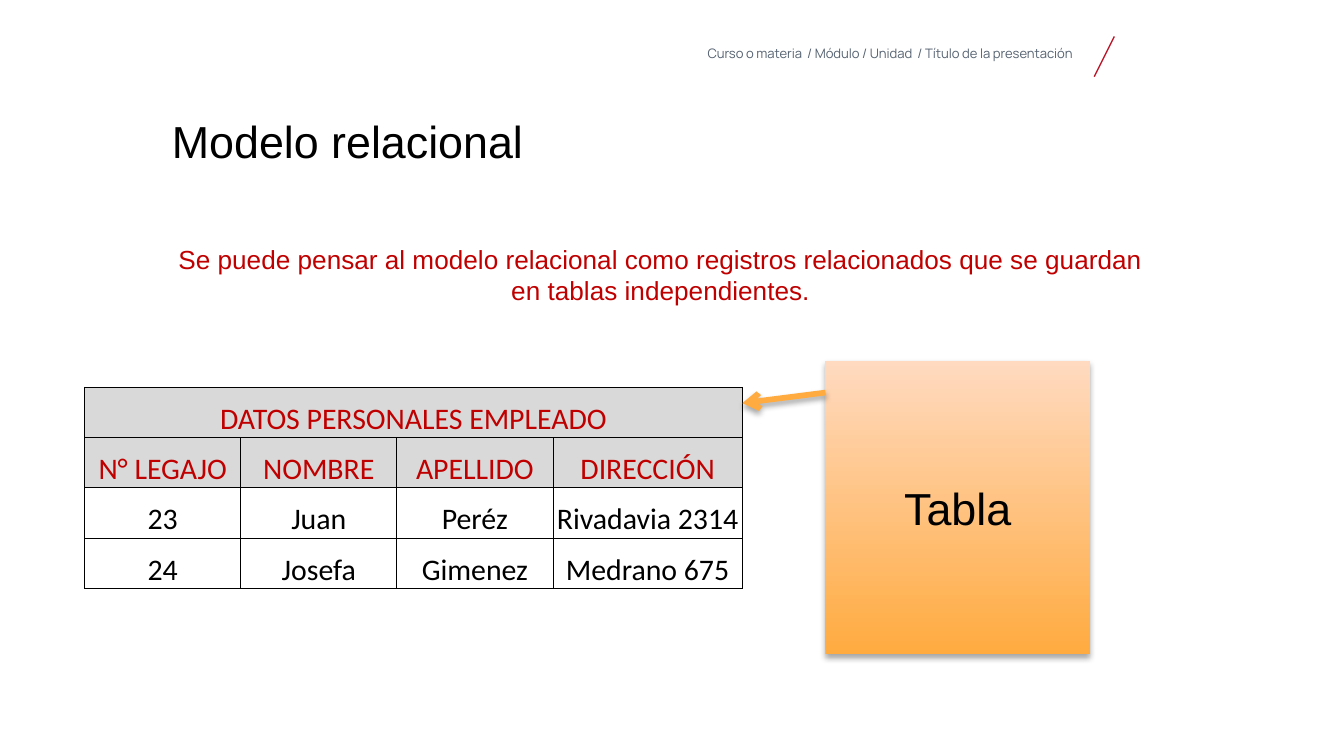
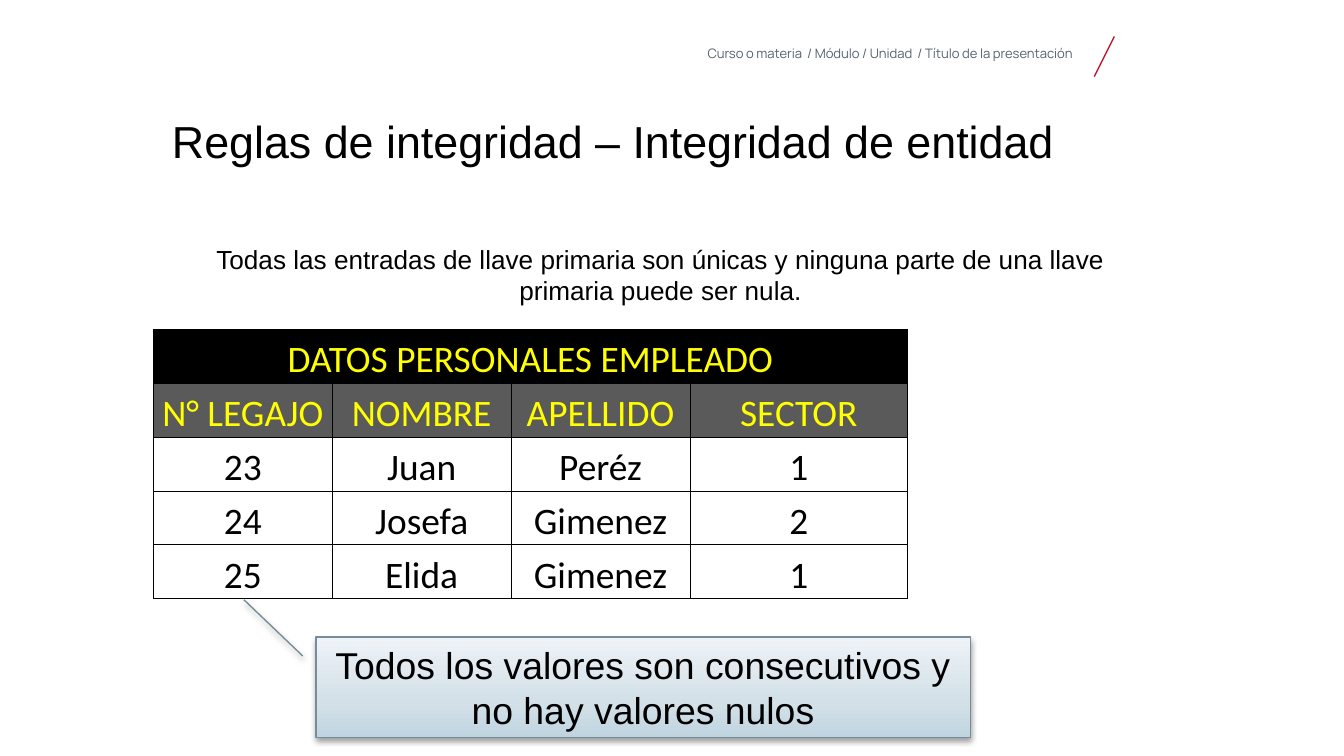
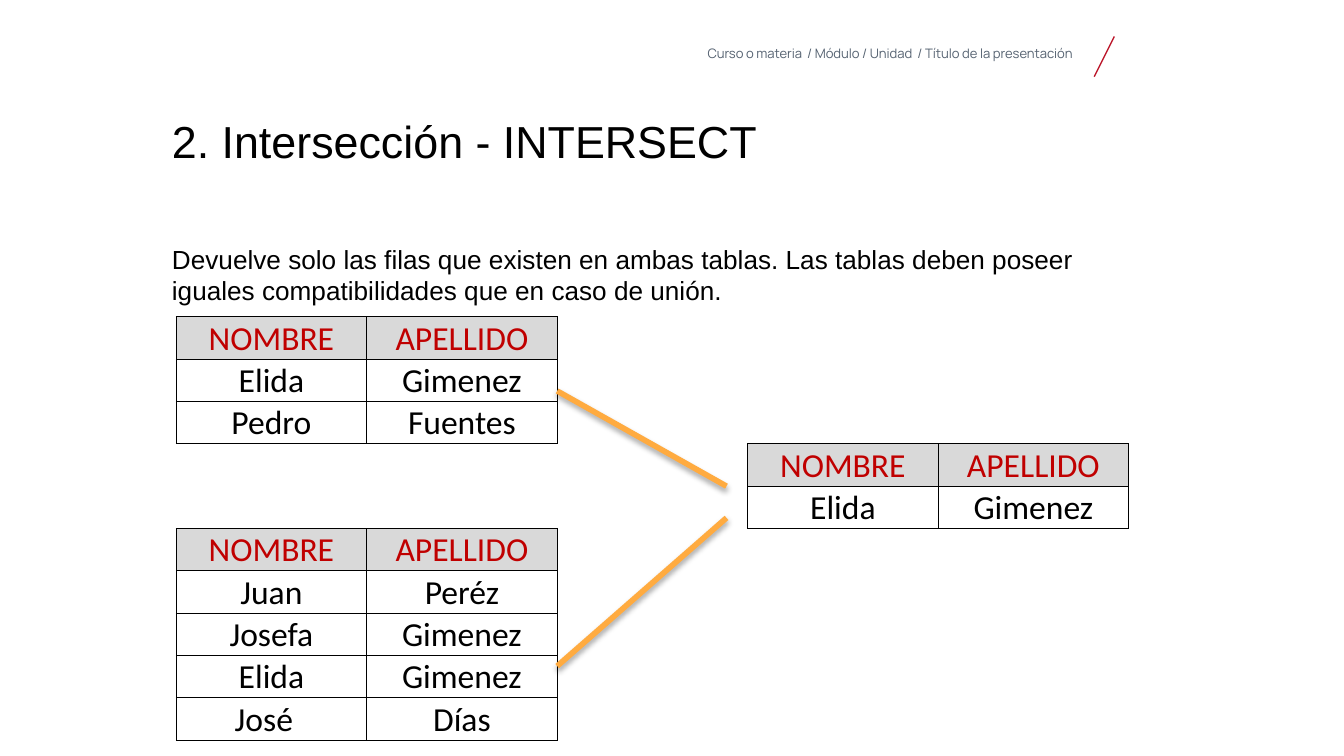
from collections import namedtuple

from lxml.etree import SubElement
from pptx import Presentation
from pptx.dml.color import RGBColor
from pptx.enum.shapes import MSO_CONNECTOR, MSO_SHAPE
from pptx.enum.text import MSO_ANCHOR, PP_ALIGN
from pptx.oxml import parse_xml
from pptx.oxml.ns import nsdecls, qn
from pptx.util import Cm, Pt

BLACK = RGBColor(0x00, 0x00, 0x00)
WHITE = RGBColor(0xFF, 0xFF, 0xFF)
SLATE = RGBColor(0x55, 0x62, 0x71)
CRIMSON = RGBColor(0xBC, 0x18, 0x2C)
RED = RGBColor(0xC0, 0x00, 0x00)
YELLOW = RGBColor(0xFF, 0xFF, 0x00)
LIGHT_GRAY = RGBColor(0xD9, 0xD9, 0xD9)
DARK_GRAY = RGBColor(0x5A, 0x5A, 0x5A)
ORANGE = RGBColor(0xFF, 0xAB, 0x40)
PEACH = RGBColor(0xFF, 0xDA, 0xC0)
STEEL = RGBColor(0x74, 0x8D, 0x99)
BLUE = RGBColor(0xC0, 0xD4, 0xE0)
PALE_BLUE = RGBColor(0xD3, 0xE0, 0xE8)
ICE_BLUE = RGBColor(0xEE, 0xF3, 0xF7)

Box = namedtuple("Box", "left top width height")
TableStyle = namedtuple("TableStyle", "size header_color header_fills")

HEADER = Box(12.57, 0.89, 7.75, 0.36)
TITLE = Box(3.25, 2.26, 13.49, 2.11)
WIDE_TITLE = TITLE._replace(width=17.02)
BODY = Box(3.25, 4.6, 18.47, 9.02)

HEADER_FONT = {"name": "Manrope", "size": Pt(7), "color": SLATE}
TITLE_FONT = {"name": "Arial", "size": Pt(24), "color": BLACK}
BODY_FONT = {"name": "Arial", "size": Pt(14), "color": BLACK}
CALLOUT_FONT = {"name": "Arial", "size": Pt(20), "color": BLACK}

HEADER_TEXT = "Curso o materia  / Módulo / Unidad  / Título de la presentación "
NO_MARGINS = {f"margin_{side}": 0 for side in ("left", "top", "right", "bottom")}
CELL_FORMAT = {
    "margin_left": Cm(0.02),
    "margin_top": Cm(0.02),
    "margin_right": Cm(0.02),
    "margin_bottom": 0,
    "vertical_anchor": MSO_ANCHOR.BOTTOM,
}
BORDERS = {"a:lnL": (0, -1), "a:lnR": (0, 1), "a:lnT": (-1, 0), "a:lnB": (1, 0)}


def apply_format(target, values):
    for name, value in values.items():
        setattr(target, name, value)


def write_text(text_frame, text, font, alignment, **paragraph_format):
    paragraph = text_frame.paragraphs[0]
    apply_format(paragraph, {"alignment": alignment, **paragraph_format})
    run = paragraph.add_run()
    run.text = text
    apply_format(run.font, {"name": font["name"], "size": font["size"]})
    run.font.color.rgb = font["color"]


def add_text(slide, box, text, font, alignment=PP_ALIGN.LEFT, **paragraph_format):
    text_frame = slide.shapes.add_textbox(*map(Cm, box)).text_frame
    apply_format(text_frame, {"word_wrap": True, **NO_MARGINS})
    write_text(text_frame, text, font, alignment, **paragraph_format)


def add_shadow(shape, opacity, distance):
    properties = shape._element.spPr
    for effects in properties.findall(qn("a:effectLst")):
        properties.remove(effects)
    properties.append(parse_xml(
        f'<a:effectLst {nsdecls("a")}><a:outerShdw blurRad="40000" dist="{distance}" '
        f'dir="5400000" rotWithShape="0"><a:srgbClr val="000000">'
        f'<a:alpha val="{opacity * 1000}"/></a:srgbClr></a:outerShdw></a:effectLst>'
    ))


def add_line(slide, start, end, color, width, shadow=True, arrow=False):
    connector = slide.shapes.add_connector(MSO_CONNECTOR.STRAIGHT, *map(Cm, start + end))
    connector.line.color.rgb = color
    connector.line.width = Pt(width)
    if arrow:
        SubElement(connector.line._get_or_add_ln(), qn("a:tailEnd"), type="arrow")
    if shadow:
        add_shadow(connector, 35, 23000)
    else:
        SubElement(connector._element.spPr, qn("a:effectLst"))


def add_panel(slide, box, preset, text, font, stops, line_color=None):
    shape = slide.shapes.add_shape(preset, *map(Cm, box))
    shape.shadow.inherit = False
    shape.fill.gradient()
    shape.fill.gradient_angle = 90
    stop_list = shape._element.spPr.find(qn("a:gradFill")).find(qn("a:gsLst"))
    for stop in list(stop_list):
        stop_list.remove(stop)
    for position, color in stops:
        stop = SubElement(stop_list, qn("a:gs"), pos=str(position * 1000))
        SubElement(stop, qn("a:srgbClr"), val=str(color))
    if line_color:
        shape.line.color.rgb = line_color
        shape.line.width = Pt(0.75)
    else:
        shape.line.fill.background()
    apply_format(shape.text_frame, {"word_wrap": True, "vertical_anchor": MSO_ANCHOR.MIDDLE})
    write_text(shape.text_frame, text, font, PP_ALIGN.CENTER)
    return shape


def set_borders(cell, visible_sides):
    properties = cell._tc.get_or_add_tcPr()
    for index, side in enumerate(BORDERS):
        paint = '<a:solidFill><a:srgbClr val="000000"/></a:solidFill>'
        if side not in visible_sides:
            paint = "<a:noFill/>"
        properties.insert(index, parse_xml(f'<{side} {nsdecls("a")} w="6350">{paint}</{side}>'))


def add_data_table(slide, left, top, widths, row_height, rows, style, header_rows):
    columns = len(widths)
    grid = [row * columns if len(row) == 1 else row for row in rows]
    box = Box(left, top, sum(widths), row_height * len(rows))
    table = slide.shapes.add_table(len(rows), columns, *map(Cm, box)).table
    apply_format(table, {"first_row": False, "horz_banding": False})
    for column, width in zip(table.columns, widths):
        column.width = Cm(width)
    for row in table.rows:
        row.height = Cm(row_height)

    def has_text(row, column):
        return 0 <= row < len(grid) and 0 <= column < columns and bool(grid[row][column])

    for row, texts in enumerate(grid):
        merged = len(rows[row]) == 1
        if merged:
            table.cell(row, 0).merge(table.cell(row, columns - 1))
        for column, text in enumerate(texts):
            cell = table.cell(row, column)
            apply_format(cell, CELL_FORMAT)
            is_header = bool(text) and row in header_rows
            cell.fill.solid()
            cell.fill.fore_color.rgb = (
                style.header_fills[min(row, len(style.header_fills) - 1)] if is_header else WHITE
            )
            set_borders(cell, [
                side for side, (down, right) in BORDERS.items()
                if text or has_text(row + down, column + right)
            ])
            if text and not (merged and column):
                color = style.header_color if is_header else BLACK
                font = {"name": "Calibri", "size": Pt(style.size), "color": color}
                write_text(cell.text_frame, text, font, PP_ALIGN.CENTER)
    return box


def add_base_slide(presentation, title, body, title_box=TITLE,
                   body_color=BLACK, body_alignment=PP_ALIGN.CENTER):
    slide = presentation.slides.add_slide(presentation.slide_layouts[6])
    add_text(slide, HEADER, HEADER_TEXT, HEADER_FONT, PP_ALIGN.RIGHT, line_spacing=0.9)
    slash_left = HEADER.left + HEADER.width + 0.36
    add_line(slide, (slash_left + 0.38, 0.69), (slash_left, 1.45), CRIMSON, 0.75, shadow=False)
    add_text(slide, title_box, title, TITLE_FONT, line_spacing=0.9)
    add_text(slide, BODY, body, {**BODY_FONT, "color": body_color}, body_alignment)
    return slide


def build_relational_model(presentation):
    slide = add_base_slide(
        presentation, "Modelo relacional",
        "Se puede pensar al modelo relacional como registros relacionados que se guardan "
        "en tablas independientes.",
        body_color=RED,
    )
    rows = [
        ["DATOS PERSONALES EMPLEADO"],
        ["N° LEGAJO", "NOMBRE", "APELLIDO", "DIRECCIÓN"],
        ["23", "Juan", "Peréz", "Rivadavia 2314"],
        ["24", "Josefa", "Gimenez", "Medrano 675"],
    ]
    style = TableStyle(16, RED, [LIGHT_GRAY])
    table = add_data_table(slide, 1.6, 7.32, [2.95] * 3 + [3.58], 0.95, rows, style, (0, 1))
    label = Box(15.6, 6.83, 5, 5.54)
    panel = add_panel(slide, label, MSO_SHAPE.RECTANGLE, "Tabla", TITLE_FONT,
                      [(0, ORANGE), (100, PEACH)])
    add_shadow(panel, 35, 23000)
    add_line(slide, (label.left, label.top + 0.59),
             (table.left + table.width, table.top + 0.3), ORANGE, 3, arrow=True)


def build_entity_integrity(presentation):
    slide = add_base_slide(
        presentation, "Reglas de integridad – Integridad de entidad",
        "Todas las entradas de llave primaria son únicas y ninguna parte de una llave "
        "primaria puede ser nula.",
        title_box=WIDE_TITLE,
    )
    rows = [
        ["DATOS PERSONALES EMPLEADO"],
        ["N° LEGAJO", "NOMBRE", "APELLIDO", "SECTOR"],
        ["23", "Juan", "Peréz", "1"],
        ["24", "Josefa", "Gimenez", "2"],
        ["25", "Elida", "Gimenez", "1"],
    ]
    style = TableStyle(20, YELLOW, [BLACK, DARK_GRAY])
    add_data_table(slide, 2.9, 6.22, [3.38] * 3 + [4.11], 1.02, rows, style, (0, 1))
    callout = add_panel(
        slide, Box(5.97, 12.04, 12.37, 1.9), MSO_SHAPE.LINE_CALLOUT_1,
        "Todos los valores son consecutivos y no hay valores nulos", CALLOUT_FONT,
        [(0, BLUE), (35, PALE_BLUE), (100, ICE_BLUE)], STEEL,
    )
    for index, value in enumerate((0.19, -0.02, -0.37, -0.11)):
        callout.adjustments[index] = value
    add_shadow(callout, 38, 20000)


def build_intersection(presentation):
    slide = add_base_slide(
        presentation, "2. Intersección - INTERSECT",
        "Devuelve solo las filas que existen en ambas tablas. Las tablas deben poseer "
        "iguales compatibilidades que en caso de unión.",
        body_alignment=PP_ALIGN.LEFT,
    )
    names = ["NOMBRE", "APELLIDO"]
    blank = ["", ""]
    pairs = [
        (names, blank),
        (["Elida", "Gimenez"], blank),
        (["Pedro", "Fuentes"], blank),
        (blank, names),
        (blank, ["Elida", "Gimenez"]),
        (names, blank),
        (["Juan", "Peréz"], blank),
        (["Josefa", "Gimenez"], blank),
        (["Elida", "Gimenez"], blank),
        (["José  ", "Días"], blank),
    ]
    rows = [source + [""] + result for source, result in pairs]
    style = TableStyle(18, RED, [LIGHT_GRAY])
    table = add_data_table(slide, 3.33, 5.99, [3.6] * 5, 0.8, rows, style, (0, 3, 5))
    for start_offset, end_offset in ((1.4, 3.2), (6.6, 3.8)):
        add_line(slide, (table.left + 7.2, table.top + start_offset),
                 (table.left + 10.4, table.top + end_offset), ORANGE, 3)


def main():
    presentation = Presentation()
    apply_format(presentation, {"slide_width": Cm(25.4), "slide_height": Cm(14.29)})
    build_relational_model(presentation)
    build_entity_integrity(presentation)
    build_intersection(presentation)
    presentation.save("out.pptx")


if __name__ == "__main__":
    main()
